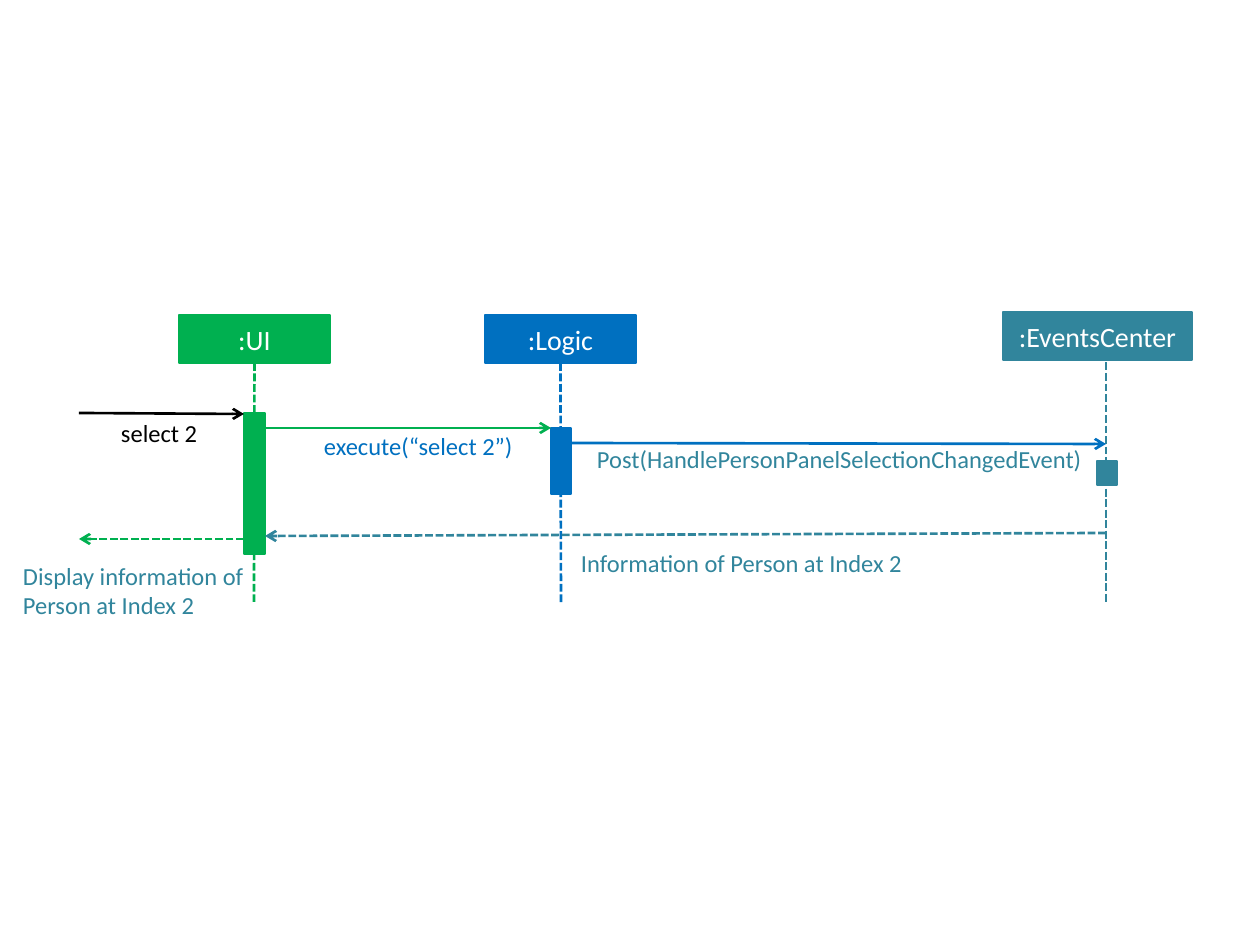
from lxml import etree
from pptx import Presentation
from pptx.dml.color import RGBColor
from pptx.enum.dml import MSO_LINE
from pptx.enum.shapes import MSO_CONNECTOR, MSO_SHAPE
from pptx.enum.text import MSO_ANCHOR, MSO_AUTO_SIZE, PP_ALIGN
from pptx.oxml.ns import qn
from pptx.util import Pt

SCALE = 914400 / 126
RECT = MSO_SHAPE.RECTANGLE
STRAIGHT = MSO_CONNECTOR.STRAIGHT
DASH = MSO_LINE.SQUARE_DOT
MIDDLE = MSO_ANCHOR.MIDDLE
LEFT, CENTER = PP_ALIGN.LEFT, PP_ALIGN.CENTER
GROW = MSO_AUTO_SIZE.SHAPE_TO_FIT_TEXT
BOTTOM = 2

GREEN, BLUE, TEAL = "00B050", "0070C0", "31859C"
BLACK, WHITE = "000000", "FFFFFF"


def px(*values):
    return [round(v * SCALE) for v in values]


def rgb(value):
    return RGBColor.from_string(value)


def write(tf, text, size=14, color=BLACK, align=LEFT, font="Calibri"):
    for i, line in enumerate(text.split("\n")):
        p = tf.add_paragraph() if i else tf.paragraphs[0]
        p.alignment = align
        r = p.add_run()
        r.text = line
        r.font.name = font
        r.font.size = Pt(size)
        r.font.color.rgb = rgb(color)


class Diagram:
    line_width = 1.5
    bar_line_width = 0.75

    def __init__(self, prs):
        self.s = prs.slides.add_slide(prs.slide_layouts[6])

    def rect(self, box, color, line_width):
        sp = self.s.shapes.add_shape(RECT, *px(*box))
        sp.shadow.inherit = False
        sp.fill.solid()
        sp.fill.fore_color.rgb = rgb(color)
        sp.line.color.rgb = rgb(color)
        sp.line.width = Pt(line_width)
        return sp

    def participant(self, text, box, color):
        sp = self.rect(box, color, self.line_width)
        sp.text_frame.vertical_anchor = MIDDLE
        sp.text_frame.word_wrap = True
        write(sp.text_frame, text, size=16, color=WHITE, align=CENTER)
        return sp

    def activation(self, box, color):
        return self.rect(box, color, self.bar_line_width)

    def line(self, start, end, color, dashed=False, arrow=False):
        c = self.s.shapes.add_connector(STRAIGHT, *px(*start, *end))
        c.line.color.rgb = rgb(color)
        c.line.width = Pt(self.line_width)
        if dashed:
            c.line.dash_style = DASH
        if arrow:
            etree.SubElement(c.line._get_or_add_ln(), qn("a:tailEnd"), type="arrow")
        etree.SubElement(c._element.spPr, qn("a:effectLst"))
        return c

    def lifeline(self, x, top, bottom, color, head=None):
        c = self.line((x, top), (x, bottom), color, dashed=True)
        if head is not None:
            c.begin_connect(head, BOTTOM)

    def message(self, start, end, color, reply=False):
        self.line(start, end, color, dashed=reply, arrow=True)

    def label(self, text, box, color, inset=0, wrap=True):
        tf = self.s.shapes.add_textbox(*px(*box)).text_frame
        tf.word_wrap = wrap
        tf.auto_size = GROW
        tf.margin_left = tf.margin_right = px(inset)[0]
        tf.margin_top = tf.margin_bottom = px(inset / 2)[0]
        write(tf, text, color=color)


def main():
    prs = Presentation()
    prs.slide_width, prs.slide_height = px(1260, 945)
    d = Diagram(prs)

    ui = d.participant(":UI", (179, 315, 151, 48), GREEN)
    d.lifeline(254, 363, 602, GREEN, ui)
    d.activation((244, 413, 21, 141), GREEN)

    logic = d.participant(":Logic", (485, 315, 151, 48), BLUE)
    d.lifeline(561, 363, 603, BLUE, logic)
    d.activation((551, 428, 20, 66), BLUE)

    d.participant(":EventsCenter", (1003, 312, 189, 48), TEAL)
    d.lifeline(1106, 352, 602, TEAL)
    d.activation((1097, 461, 20, 24), TEAL)

    d.message((79, 413), (244, 414), BLACK)
    d.message((265, 428), (551, 428), GREEN)
    d.message((571, 443), (1106, 444), BLUE)
    d.message((1106, 533), (265, 536), TEAL, reply=True)
    d.message((244, 539), (79, 539), GREEN, reply=True)

    d.label("select 2", (121, 418, 118, 30), BLACK)
    d.label("execute(“select 2”)", (324, 431, 197, 30), BLUE)
    d.label("Post(HandlePersonPanelSelectionChangedEvent)", (597, 444, 489, 30), TEAL)
    d.label("Information of Person at Index 2", (581, 548, 336, 30), TEAL)
    d.label("Display information of\nPerson at Index 2", (10, 554, 253, 72), TEAL,
            inset=13, wrap=False)

    prs.save("out.pptx")


if __name__ == "__main__":
    main()
